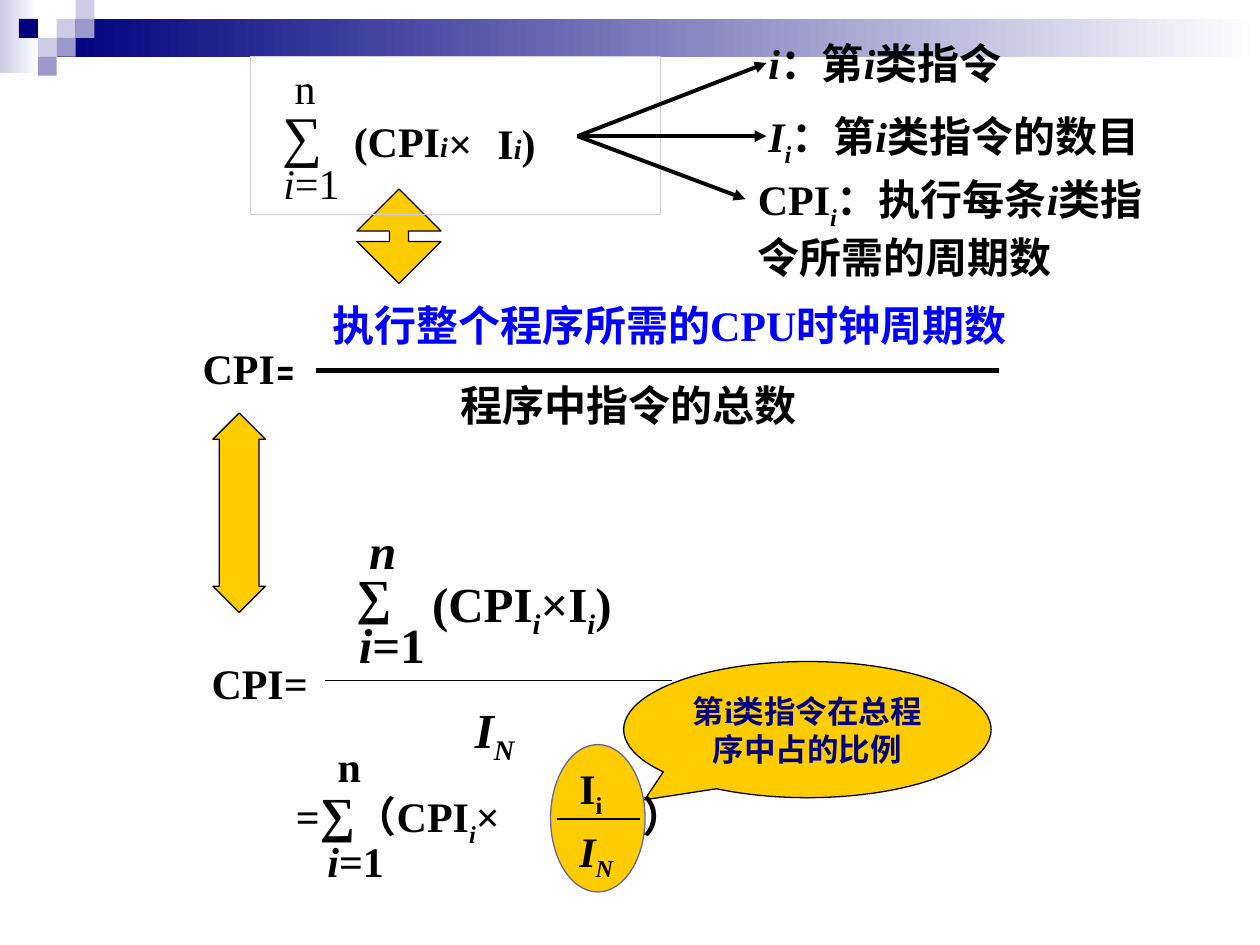
from lxml import etree
from pptx import Presentation
from pptx.dml.color import RGBColor
from pptx.enum import shapes, text
from pptx.oxml import ns
from pptx.util import Pt

SERIF, SANS = "Times New Roman", "Karla"
BLACK, NAVY, BLUE, GOLD = "000000", "00007D", "0000FF", "FFCC00"
LILAC, PERIWINKLE, WHITE = "CCCCE6", "9999CC", "FFFFFF"
SHAPE = shapes.MSO_SHAPE


def rgb(value):
    return RGBColor.from_string(value)


def place(region, x, y, width, height):
    """Turn a box given inside a region into slide lengths."""
    return Pt(region[0] + x), Pt(region[1] + y), Pt(width), Pt(height)


def add_runs(paragraph, runs, size, bold, color):
    """Each run is (wording, flags, size, font); flags: i italic, s subscript."""
    for wording, flags, own_size, font in (
            (*run, *("", None, SERIF)[len(run) - 1:]) for run in runs):
        run = paragraph.add_run()
        run.text = wording
        run.font.name = font
        run.font.size = Pt(own_size or size)
        run.font.bold = bold
        run.font.italic = "i" in flags
        run.font.color.rgb = rgb(color)
        if "s" in flags:
            run.font._element.set("baseline", "-25000")


def label(slide, region, box, *runs, size=24, bold=True, color=BLACK,
          wrap=True, tab=None):
    frame = slide.shapes.add_textbox(*place(region, *box)).text_frame
    frame.word_wrap = wrap
    frame.auto_size = text.MSO_AUTO_SIZE.SHAPE_TO_FIT_TEXT
    paragraph = frame.paragraphs[0]
    if tab:
        stops = etree.SubElement(paragraph._p.get_or_add_pPr(), ns.qn("a:tabLst"))
        etree.SubElement(stops, ns.qn("a:tab"), pos=str(Pt(tab)), algn="l")
    add_runs(paragraph, runs, size, bold, color)


def block(slide, kind, region, box, fill=None, line=None, adjust=()):
    shape = slide.shapes.add_shape(kind, *place(region, *box))
    shape.shadow.inherit = False
    for index, value in enumerate(adjust):
        shape.adjustments[index] = value
    if isinstance(fill, tuple):
        shape.fill.gradient()
        shape.fill.gradient_angle = 0
        for stop, color in zip(shape.fill.gradient_stops, fill):
            stop.color.rgb = rgb(color)
    elif fill:
        shape.fill.solid()
        shape.fill.fore_color.rgb = rgb(fill)
    else:
        shape.fill.background()
    if line:
        shape.line.color.rgb = rgb(line)
        shape.line.width = Pt(0.75)
    else:
        shape.line.fill.background()
    return shape


def rule(slide, region, start, end, width, arrow=False):
    x, y = region[:2]
    line = slide.shapes.add_connector(
        shapes.MSO_CONNECTOR.STRAIGHT,
        Pt(x + start[0]), Pt(y + start[1]), Pt(x + end[0]), Pt(y + end[1]))
    line.line.color.rgb = rgb(BLACK)
    line.line.width = Pt(width)
    if arrow:
        etree.SubElement(line.line._get_or_add_ln(), ns.qn("a:tailEnd"),
                         type="triangle")
    etree.SubElement(line._element.spPr, ns.qn("a:effectLst"))


def banner(slide, region):
    cell = 10.8
    block(slide, SHAPE.RECTANGLE, region, (0, 0, 22, 42), (LILAC, WHITE))
    block(slide, SHAPE.RECTANGLE, region,
          (3 * cell, cell, region[2] - 3 * cell, 2 * cell), (NAVY, WHITE))
    # Checker squares as column, row, colour
    for column, row, color in ((3, 1, LILAC), (4, 0, LILAC), (4, 1, PERIWINKLE),
                               (2, 2, LILAC), (1, 1, NAVY),
                               (3, 2, PERIWINKLE), (2, 3, PERIWINKLE)):
        block(slide, SHAPE.RECTANGLE, region,
              (column * cell, row * cell, cell, cell), color)


def ratio_sum(slide, region):
    # Highlighted ratio and its callout
    block(slide, SHAPE.OVAL, region, (152.6, 47.5, 54, 84.2), GOLD, "666699")
    callout = block(slide, SHAPE.OVAL_CALLOUT, region, (194.4, 0, 210, 77.8),
                    GOLD, BLACK, (-0.443, 0.516))
    note = callout.text_frame
    note.word_wrap = True
    note.paragraphs[0].alignment = text.PP_ALIGN.CENTER
    add_runs(note.paragraphs[0], [("第i类指令在总程序中占的比例",)], 18, True, NAVY)
    # Sum of CPI times ratio
    rule(slide, region, (156.2, 90), (203.8, 90), 0.75)
    label(slide, region, (0, 66.2, 342, 44), ("=",), ("∑", "", 28), ("（CPI",),
          ("i", "is"), ("×\t）",), tab=198)
    label(slide, region, (23.8, 41.8, 18, 36), ("n",))
    label(slide, region, (18, 95.8, 48, 36), ("i", "i"), ("=1",))
    label(slide, region, (162, 54, 36, 40), ("I",), ("i", "s"))
    label(slide, region, (162, 90, 48, 40), ("I", "i"), ("N", "is"))


def definition(slide, region):
    label(slide, region, (0, 24.5, 127, 36), ("CPI",), ("=", "", None, SANS))
    rule(slide, region, (72, 43.9), (462, 43.9), 3)
    label(slide, region, (74, 0, 459, 36), ("执行整个程序所需的", "", None, SANS),
          ("CPU",), ("时钟周期数", "", None, SANS), color=BLUE)
    label(slide, region, (147.6, 45.4, 218, 36),
          ("程序中指令的总数", "", None, SANS))


def expanded_fraction(slide, region):
    rule(slide, region, (72, 95), (270, 95), 0.75)
    label(slide, region, (0, 78.5, 72, 36), ("CPI=",))
    label(slide, region, (150.5, 102.2, 48, 45), ("I", "i"), ("N", "is"), size=28)
    label(slide, region, (90, 0, 30, 41), ("n", "i"), size=28)
    label(slide, region, (82.8, 25.9, 34, 41), ("∑",), size=28, wrap=False)
    label(slide, region, (84.2, 54, 66, 41), ("i", "i"), ("=1",), size=28)
    label(slide, region, (126, 30.2, 156, 45), ("(CPI",), ("i", "is"), ("×I",),
          ("i", "is"), (")",), size=28)


def cycle_sum(slide, region):
    label(slide, region, (105.8, 31, 37.4, 36), ("×",))
    label(slide, region, (51.8, 30.2, 88, 36), ("(CPI",), ("i", "i", 16))
    label(slide, region, (133.9, 31, 86.4, 36), ("I",), ("i", "i", 16), (")",))
    label(slide, region, (18, 0, 30, 36), ("n",), bold=False)
    label(slide, region, (10.8, 21.6, 36.7, 46), ("∑",), size=32, bold=False,
          wrap=False)
    label(slide, region, (11.5, 54, 66, 36), ("i", "i"), ("=1",), bold=False)
    block(slide, SHAPE.RECTANGLE, region, (0, 0, *region[2:]), line=LILAC)


def legend(slide, region):
    label(slide, region, (102, 0, 210, 36), ("i", "i"), ("：第",), ("i", "i"),
          ("类指令",))
    label(slide, region, (102, 41.8, 258, 40), ("I", "i"), ("i", "is"), ("：第",),
          ("i", "i"), ("类指令的数目",))
    label(slide, region, (96, 77.8, 234, 69), ("CPI",), ("i", "is"), ("：执行每条",),
          ("i", "i"), ("类指令所需的周期数",))
    for tip in ((108, 59.8), (96, 95.8), (108, 18)):
        rule(slide, region, (0, 59.8), tip, 2.25, arrow=True)


def main():
    deck = Presentation()
    deck.slide_width, deck.slide_height = Pt(720), Pt(540)
    slide = deck.slides.add_slide(deck.slide_layouts[6])
    banner(slide, (0, 0, 720, 43.2))
    ratio_sum(slide, (162, 378, 405, 132))
    definition(slide, (108.7, 167.8, 534, 82))
    expanded_fraction(slide, (113.8, 293.8, 282, 148))
    # Equivalence arrows between the formulas
    for box, head in (((204, 108, 48, 54), 0.224), ((121.7, 236, 30, 114), 0.756)):
        block(slide, SHAPE.UP_DOWN_ARROW, (0, 0), box, GOLD, BLACK, (0.5, head))
    cycle_sum(slide, (143.3, 32.4, 234, 90))
    legend(slide, (330, 18, 360, 147))
    deck.save("out.pptx")


if __name__ == "__main__":
    main()
